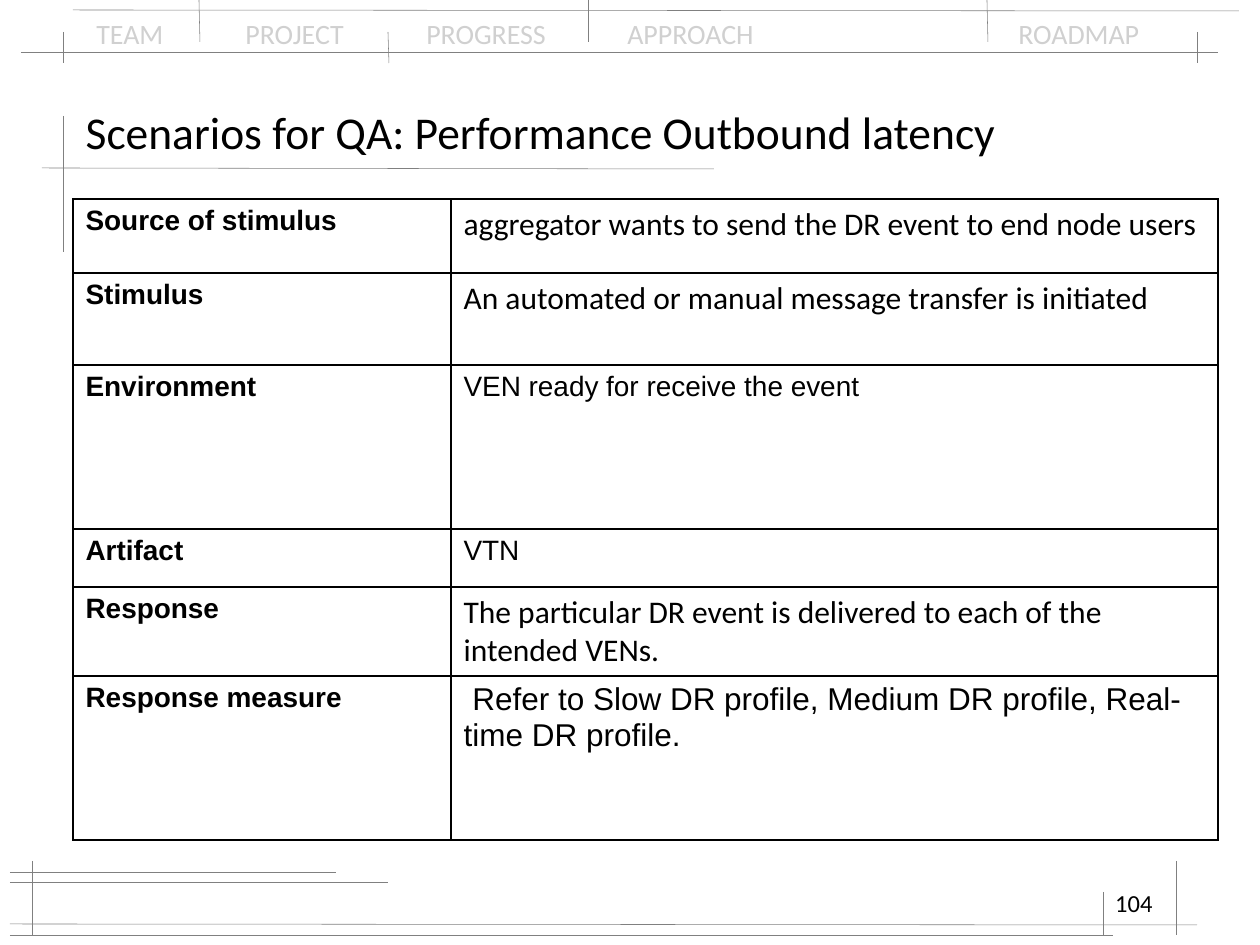
from pptx import Presentation
from pptx.dml.color import RGBColor
from pptx.enum.shapes import MSO_CONNECTOR
from pptx.enum.text import MSO_ANCHOR, PP_ALIGN
from pptx.oxml import parse_xml
from pptx.oxml.ns import nsdecls
from pptx.util import Pt

SCALE = 914400 / 126  # EMU per px
COLORS = {"ink": "000000", "guide": "808080", "nav": "D0D0D0"}

# Text formats
TITLE = {"name": "Calibri", "size": Pt(26)}
NAV = {"name": "Calibri", "size": Pt(16)}
NUMBER = {"name": "Calibri", "size": Pt(14)}
LABEL = {"name": "Arial", "size": Pt(16), "bold": True}
PLAIN = {"name": "Arial", "size": Pt(16), "bold": False}
PROSE = {"name": "Calibri", "size": Pt(18), "bold": False}
LARGE = {"name": "Arial", "size": Pt(18), "bold": False}

# Guide lines: x1, y1, x2, y2
GUIDES = [
    (21, 52, 1218, 52), (73, 10, 1239, 11), (63, 116, 63, 252),
    (42, 168, 714, 169), (10, 882, 388, 882), (10, 924, 1197, 925),
    (32, 861, 32, 935), (10, 872, 336, 872), (10, 935, 1113, 935),
    (1176, 861, 1176, 935), (1103, 892, 1103, 935),
    (63, 32, 63, 63), (388, 32, 389, 63), (1197, 32, 1197, 63),
    (199, 0, 200, 42), (588, 0, 588, 42), (987, 0, 988, 42),
]

# Navigation words and the tab stop that leads to each
SECTIONS = ["TEAM", "PROJECT", "PROGRESS", "APPROACH", "ROADMAP"]
TABS = [149, 330, 531, 922]

# Scenario rows: height, label, value, value format
SCENARIO = [
    (74, "Source of stimulus",
     "aggregator wants to send the DR event to end node users", PROSE),
    (92, "Stimulus",
     "An automated or manual message transfer is initiated", PROSE),
    (164, "Environment", "VEN ready for receive the event", PLAIN),
    (58, "Artifact", "VTN", PLAIN),
    (89, "Response",
     "The particular DR event is delivered to each of the intended VENs.", PROSE),
    (164, "Response measure",
     " Refer to Slow DR profile, Medium DR profile, Real-time DR profile.", LARGE),
]


def px(value):
    return round(value * SCALE)


class SlideBuilder:
    def __init__(self, deck):
        self.page = deck.slides.add_slide(deck.slide_layouts[5])

    def span(self, para, text, style, color="ink", align=PP_ALIGN.LEFT):
        para.alignment = align
        span = para.add_run()
        span.text = text
        for key, value in style.items():
            setattr(span.font, key, value)
        span.font.color.rgb = RGBColor.from_string(COLORS[color])

    def title(self, text, *bounds):
        box = self.page.shapes.title
        box.left, box.top, box.width, box.height = map(px, bounds)
        box.text_frame.vertical_anchor = MSO_ANCHOR.MIDDLE
        self.span(box.text_frame.paragraphs[0], text, TITLE)

    def text(self, text, bounds, style, color="ink", align=PP_ALIGN.LEFT, tabs=()):
        box = self.page.shapes.add_textbox(*map(px, bounds))
        box.text_frame.word_wrap = True
        para = box.text_frame.paragraphs[0]
        if tabs:
            stops = "".join(f'<a:tab pos="{px(tab)}" algn="l"/>' for tab in tabs)
            para._p.get_or_add_pPr().append(
                parse_xml(f'<a:tabLst {nsdecls("a")}>{stops}</a:tabLst>'))
        self.span(para, text, style, color, align)

    def line(self, *ends):
        line = self.page.shapes.add_connector(MSO_CONNECTOR.STRAIGHT, *map(px, ends))
        line.line.width = Pt(0.3)
        line.line.color.rgb = RGBColor.from_string(COLORS["guide"])
        line._element.spPr.append(parse_xml(f'<a:effectLst {nsdecls("a")}/>'))

    def border(self, cell):
        props = cell._tc.get_or_add_tcPr()
        for index, side in enumerate(("lnL", "lnR", "lnT", "lnB")):
            props.insert(index, parse_xml(
                f'<a:{side} {nsdecls("a")} w="{Pt(1)}"><a:solidFill>'
                f'<a:srgbClr val="{COLORS["ink"]}"/></a:solidFill></a:{side}>'))

    def table(self, left, top, widths, rows):
        height = sum(row[0] for row in rows)
        frame = self.page.shapes.add_table(
            len(rows), len(widths), px(left), px(top), px(sum(widths)), px(height))
        table = frame.table
        table.first_row = table.horz_banding = False
        for column, width in zip(table.columns, widths):
            column.width = px(width)
        for row, (height, label, value, style) in zip(table.rows, rows):
            row.height = px(height)
            for cell, text, look in zip(row.cells, (label, value), (LABEL, style)):
                cell.fill.background()
                self.border(cell)
                self.span(cell.text_frame.paragraphs[0], text, look)


def main():
    deck = Presentation()
    deck.slide_width, deck.slide_height = px(1260), px(945)
    slide = SlideBuilder(deck)

    # Navigation strip and guide lines
    slide.text("\t".join(SECTIONS), (84, 10, 1092, 47), NAV, "nav", tabs=TABS)
    for ends in GUIDES:
        slide.line(*ends)

    # Title, scenario table and page number
    slide.title("Scenarios for QA: Performance Outbound latency", 73, 95, 1113, 73)
    slide.table(73, 199, (378, 767), SCENARIO)
    slide.text("104", (903, 882, 262, 63), NUMBER, align=PP_ALIGN.RIGHT)

    deck.save("out.pptx")


if __name__ == "__main__":
    main()
